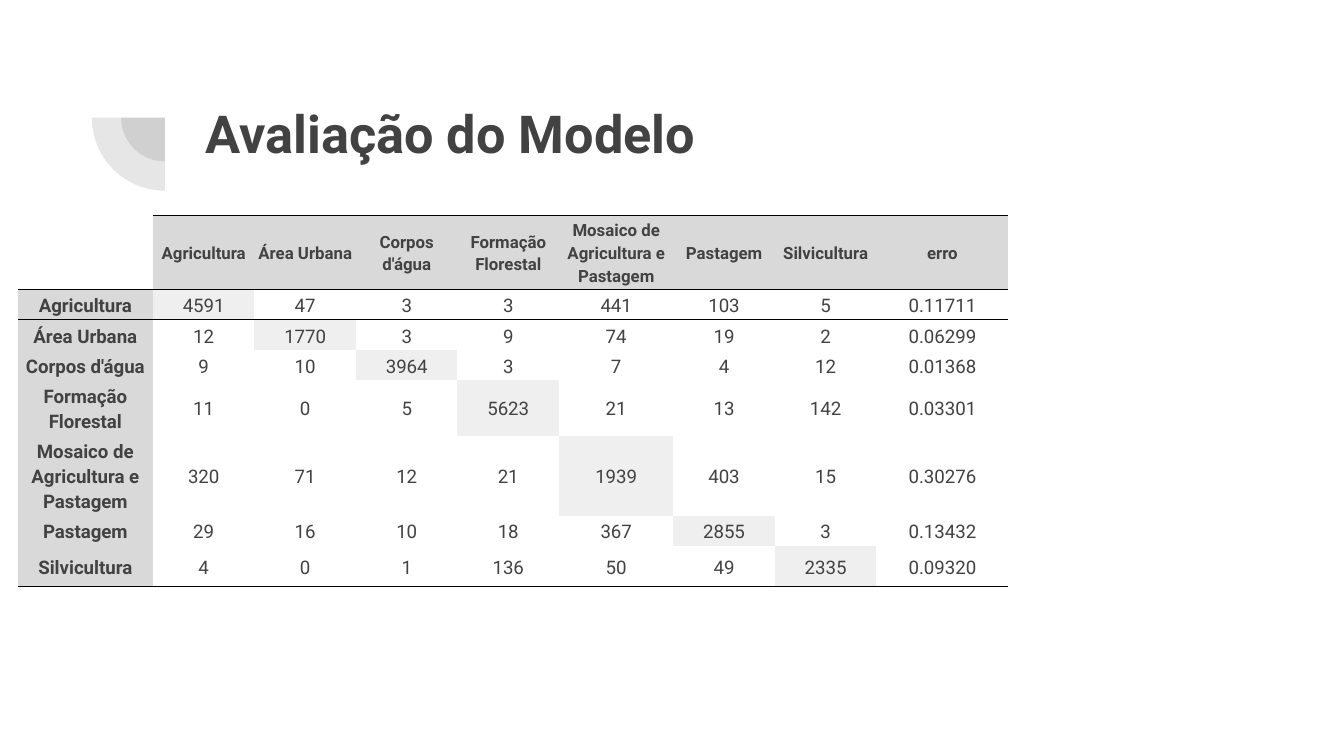
import pptx
import pptx.util
import pptx.dml.color
import pptx.enum.shapes
import pptx.enum.text
import pptx.oxml
import pptx.oxml.ns

Pt = pptx.util.Pt
FONT = "Roboto"
HUES = {"ink": "424242", "head": "D9D9D9", "diag": "EFEFEF", "rule": "000000"}
NO_STYLE = "{2D5ABB26-0587-4C30-8999-92F81FD0307C}"
LABELS = ["Agricultura", "Área Urbana", "Corpos d'água", "Formação Florestal",
          "Mosaico de Agricultura e Pastagem", "Pastagem", "Silvicultura"]
COUNTS = [
    [4591, 47, 3, 3, 441, 103, 5, "0.11711"],
    [12, 1770, 3, 9, 74, 19, 2, "0.06299"],
    [9, 10, 3964, 3, 7, 4, 12, "0.01368"],
    [11, 0, 5, 5623, 21, 13, 142, "0.03301"],
    [320, 71, 12, 21, 1939, 403, 15, "0.30276"],
    [29, 16, 10, 18, 367, 2855, 3, "0.13432"],
    [4, 0, 1, 136, 50, 49, 2335, "0.09320"],
]
WIDTHS = [72.4] + [54.4] * 4 + [61.2] + [54.4] * 2 + [70.8]
HEIGHTS = [40, 15, 15, 15, 28, 40, 15, 22]


def tint(name):
    return pptx.dml.color.RGBColor.from_string(HUES[name])


def write(para, text, size, bold):
    run = para.add_run()
    run.text = text
    run.font.name = FONT
    run.font.size = Pt(size)
    run.font.bold = bold
    run.font.color.rgb = tint("ink")


def rule(cell, side):
    """Draw a thin line on the cell's top (T) or bottom (B)."""
    line = pptx.oxml.parse_xml(
        f'<a:ln{side} {pptx.oxml.ns.nsdecls("a")} w="{Pt(0.6)}"><a:solidFill>'
        f'<a:srgbClr val="{HUES["rule"]}"/></a:solidFill></a:ln{side}>')
    cell._tc.get_or_add_tcPr().insert(0, line)


def fan(slide, x, y, size):
    """Two quarter discs that share the box's top right corner."""
    for radius in (size * 0.6, size):
        pie = slide.shapes.add_shape(
            pptx.enum.shapes.MSO_SHAPE.PIE, Pt(x + size - radius),
            Pt(y - radius), Pt(2 * radius), Pt(2 * radius))
        pie.adjustments[0] = 108
        pie.adjustments[1] = 162
        pie.rotation = 270
        pie.shadow.inherit = False
        pie.line.fill.background()
        pie.fill.solid()
        pie.fill.fore_color.rgb = tint("ink")
        hue = pie._element.spPr.find(".//" + pptx.oxml.ns.qn("a:srgbClr"))
        hue.append(pptx.oxml.parse_xml(
            f'<a:alpha {pptx.oxml.ns.nsdecls("a")} val="13000"/>'))


def title(slide, x, y, w, h):
    frame = slide.shapes.add_textbox(Pt(x), Pt(y), Pt(w), Pt(h)).text_frame
    frame.word_wrap = True
    frame.margin_left = frame.margin_right = Pt(7.2)
    frame.margin_top = frame.margin_bottom = Pt(7.2)
    write(frame.paragraphs[0], "Avaliação do Modelo", 28, True)


def fill(cell, row, col):
    """Grey for labels, pale grey on the diagonal, else clear."""
    if row == col == 0 or (row and col and row != col):
        cell.fill.background()
        return
    cell.fill.solid()
    cell.fill.fore_color.rgb = tint("diag" if row == col else "head")


def matrix(slide, x, y):
    rows = [[""] + LABELS + ["erro"]]
    rows += [[label] + line for label, line in zip(LABELS, COUNTS)]
    grid = slide.shapes.add_table(
        len(rows), len(WIDTHS), Pt(x), Pt(y),
        Pt(sum(WIDTHS)), Pt(sum(HEIGHTS))).table
    grid._tbl.tblPr.find(pptx.oxml.ns.qn("a:tableStyleId")).text = NO_STYLE
    grid.first_row = grid.horz_banding = False
    for col, width in zip(grid.columns, WIDTHS):
        col.width = Pt(width)
    for line, height in zip(grid.rows, HEIGHTS):
        line.height = Pt(height)

    for r, line in enumerate(rows):
        for c, text in enumerate(line):
            cell = grid.cell(r, c)
            cell.margin_left = cell.margin_right = Pt(2.1)
            cell.margin_top = cell.margin_bottom = Pt(1.4)
            cell.vertical_anchor = pptx.enum.text.MSO_ANCHOR.MIDDLE
            fill(cell, r, c)
            if r in (0, 1, len(rows) - 1):
                rule(cell, "B")
            if r == 1 or (r == 0 and c):
                rule(cell, "T")
            if text == "":
                continue
            para = cell.text_frame.paragraphs[0]
            para.alignment = pptx.enum.text.PP_ALIGN.CENTER
            para.line_spacing = 1.15
            write(para, str(text), 10 if r else 9, r == 0 or c == 0)


def main():
    deck = pptx.Presentation()
    deck.slide_width, deck.slide_height = Pt(720), Pt(405)
    slide = deck.slides.add_slide(deck.slide_layouts[6])
    fan(slide, 49.2, 63, 39.2)
    matrix(slide, 9.5, 115.2)
    title(slide, 103, 46.8, 553.7, 78.5)
    deck.save("out.pptx")


if __name__ == "__main__":
    main()
